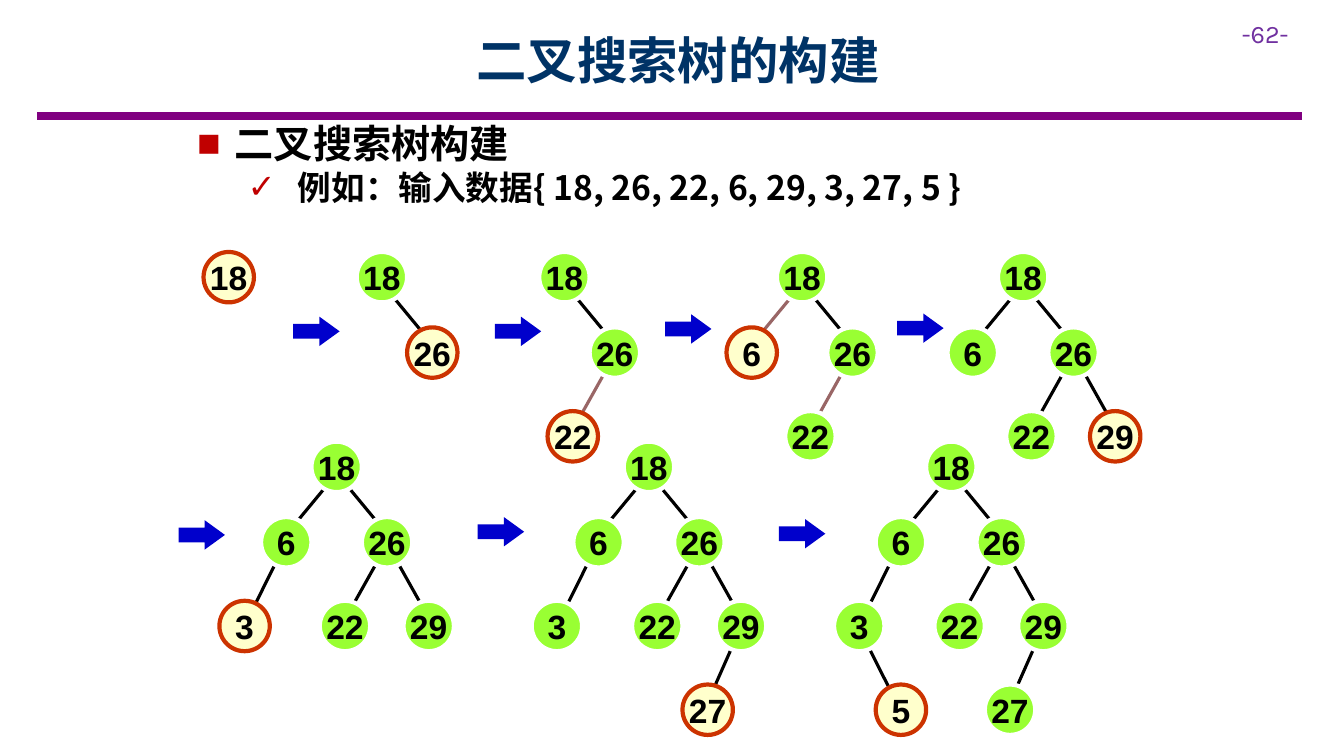
from lxml import etree
from pptx import Presentation, util as u
from pptx.dml.color import RGBColor
from pptx.enum import shapes, text
from pptx.oxml import ns

PLUM = RGBColor(0x80, 0x00, 0x80)
VIOLET = RGBColor(0x70, 0x30, 0xA0)
NAVY = RGBColor(0x00, 0x33, 0x66)
RED = RGBColor(0xC0, 0x00, 0x00)
RUST = RGBColor(0xCC, 0x33, 0x00)
CREAM = RGBColor(0xFF, 0xFF, 0xCC)
LIME = RGBColor(0x99, 0xFF, 0x33)
BLUE = RGBColor(0x00, 0x00, 0xCC)
MAUVE = RGBColor(0x99, 0x66, 0x66)
WHITE = RGBColor(0xFF, 0xFF, 0xFF)
BLACK = RGBColor(0x00, 0x00, 0x00)

SANS = "Noto Sans CJK SC"
HEAD = {"size": u.Pt(36), "name": SANS, "bold": True}
MAIN = {"size": u.Pt(28), "name": SANS, "bold": True}
ITEM = {"size": u.Pt(24), "name": SANS, "bold": True}
MARK = {"size": u.Pt(24), "name": "Arial", "bold": True}
PAGE = {"size": u.Pt(18), "name": "Karla", "bold": False}
FRAME = {"margin_left": 0, "margin_right": 0, "margin_top": 0, "margin_bottom": 0,
         "word_wrap": False, "vertical_anchor": text.MSO_ANCHOR.MIDDLE}
LIST = {"line_spacing": 0.8, "space_before": 0, "space_after": u.Pt(6)}

NODE = 1.27
KEYS = [18, 26, 22, 6, 29, 3, 27, 5]
SPOTS = {18: (0, 0), 26: (1.27, 1.9), 22: (0.21, 4.01), 6: (-1.27, 1.9),
         29: (2.32, 4.01), 3: (-2.32, 4.01), 27: (1.48, 6.12), 5: (-1.27, 6.12)}
EDGES = {26: (0.85, 1.05, 1.9, 2.32), 22: (1.7, 2.95, 0.86, 4.45),
         6: (0.43, 1.05, -0.62, 2.32), 29: (2.12, 2.95, 2.96, 4.45),
         3: (-0.85, 2.95, -1.48, 4.22), 27: (2.96, 4.65, 2.12, 6.55),
         5: (-1.5, 5.08, -0.86, 6.35)}
TREES = [(5.13, 6.35), (8.99, 6.35), (13.59, 6.35), (19.58, 6.35),
         (25.15, 6.35), (7.85, 11.13), (15.72, 11.13), (23.34, 11.13)]
ARROWS = [(7.39, 7.98), (12.47, 7.98), (16.76, 7.92), (22.61, 7.9),
          (4.5, 13.11), (12.04, 13.03), (19.63, 13.08)]


def style(obj, look):
    for key, val in look.items():
        setattr(obj, key, val)


def write(para, words, look, hue):
    run = para.add_run()
    run.text = words
    style(run.font, look)
    run.font.color.rgb = hue
    face = etree.SubElement(run.font._element, ns.qn("a:ea"))
    face.set("typeface", look["name"])


def bullet(para, sign, left, hang):
    props = para._p.get_or_add_pPr()
    props.set("marL", str(u.Cm(left)))
    props.set("indent", str(u.Cm(-hang)))
    tint = etree.SubElement(props, ns.qn("a:buClr"))
    etree.SubElement(tint, ns.qn("a:srgbClr")).set("val", str(RED))
    etree.SubElement(props, ns.qn("a:buFont")).set("typeface", "Arial")
    etree.SubElement(props, ns.qn("a:buChar")).set("char", sign)


def rule(slide, ends, hue, width):
    line = slide.shapes.add_connector(
        shapes.MSO_CONNECTOR.STRAIGHT, *(u.Cm(v) for v in ends))
    line.line.color.rgb = hue
    line.line.width = u.Pt(width)
    etree.SubElement(line._element.spPr, ns.qn("a:effectLst"))


def solid(slide, kind, box, hue):
    shape = slide.shapes.add_shape(kind, *(u.Cm(v) for v in box))
    shape.shadow.inherit = False
    shape.fill.solid()
    shape.fill.fore_color.rgb = hue
    return shape


def header(slide, x, y, w, h):
    rule(slide, (x + 0.94, y + h, x + w - 1.05, y + h), PLUM, 6)
    title = slide.shapes.title
    style(title, {"left": u.Cm(x + 6.53), "top": u.Cm(y + 0.23),
                  "width": u.Cm(21.11), "height": u.Cm(2.54)})
    title.text_frame.vertical_anchor = text.MSO_ANCHOR.MIDDLE
    para = title.text_frame.paragraphs[0]
    para.alignment = text.PP_ALIGN.CENTER
    write(para, "二叉搜索树的构建", HEAD, NAVY)
    page = slide.shapes.add_textbox(
        u.Cm(x + w - 2.82), u.Cm(y + 0.33), u.Cm(2.82), u.Cm(1.02))
    page.text_frame.word_wrap = True
    write(page.text_frame.paragraphs[0], "-62-", PAGE, VIOLET)


def points(slide, x, y, w, h):
    frame = slide.shapes.add_textbox(u.Cm(x), u.Cm(y), u.Cm(w), u.Cm(h)).text_frame
    frame.word_wrap = True
    rows = [("二叉搜索树构建", MAIN, "■", 0.95, 0.95),
            ("例如：输入数据{ 18, 26, 22, 6, 29, 3, 27, 5 }", ITEM, "✓", 2.54, 1.27)]
    for i, (words, look, sign, left, hang) in enumerate(rows):
        para = frame.add_paragraph() if i else frame.paragraphs[0]
        para.level = i
        bullet(para, sign, left, hang)
        style(para, LIST)
        write(para, words, look, BLACK)


def node(slide, x, y, key, fresh):
    ball = solid(slide, shapes.MSO_SHAPE.OVAL, (x, y, NODE, NODE),
                 CREAM if fresh else LIME)
    ball.line.color.rgb = RUST if fresh else WHITE
    ball.line.width = u.Pt(3)
    style(ball.text_frame, FRAME)
    para = ball.text_frame.paragraphs[0]
    para.alignment = text.PP_ALIGN.CENTER
    write(para, str(key), MARK, BLACK)


def tree(slide, x, y, count):
    keys = KEYS[:count]
    for key in keys[1:]:
        x1, y1, x2, y2 = EDGES[key]
        pale = count in (3, 4) and key in (22, 6)
        rule(slide, (x + x1, y + y1, x + x2, y + y2), MAUVE if pale else BLACK, 2.25)
    for key in keys:
        dx, dy = SPOTS[key]
        node(slide, x + dx, y + dy, key, key == keys[-1])


def arrow(slide, x, y):
    shape = solid(slide, shapes.MSO_SHAPE.RIGHT_ARROW, (x, y, 1.17, 0.74), BLUE)
    shape.adjustments[1] = 0.69
    shape.line.fill.background()


def main():
    deck = Presentation()
    deck.slide_width, deck.slide_height = u.Cm(33.87), u.Cm(19.05)
    slide = deck.slides.add_slide(deck.slide_layouts[5])
    header(slide, 0, 0, 33.87, 2.92)
    points(slide, 4.72, 3.12, 24.41, 2.69)
    for count, (x, y) in enumerate(TREES, 1):
        tree(slide, x, y, count)
    for x, y in ARROWS:
        arrow(slide, x, y)
    deck.save("out.pptx")


if __name__ == "__main__":
    main()
